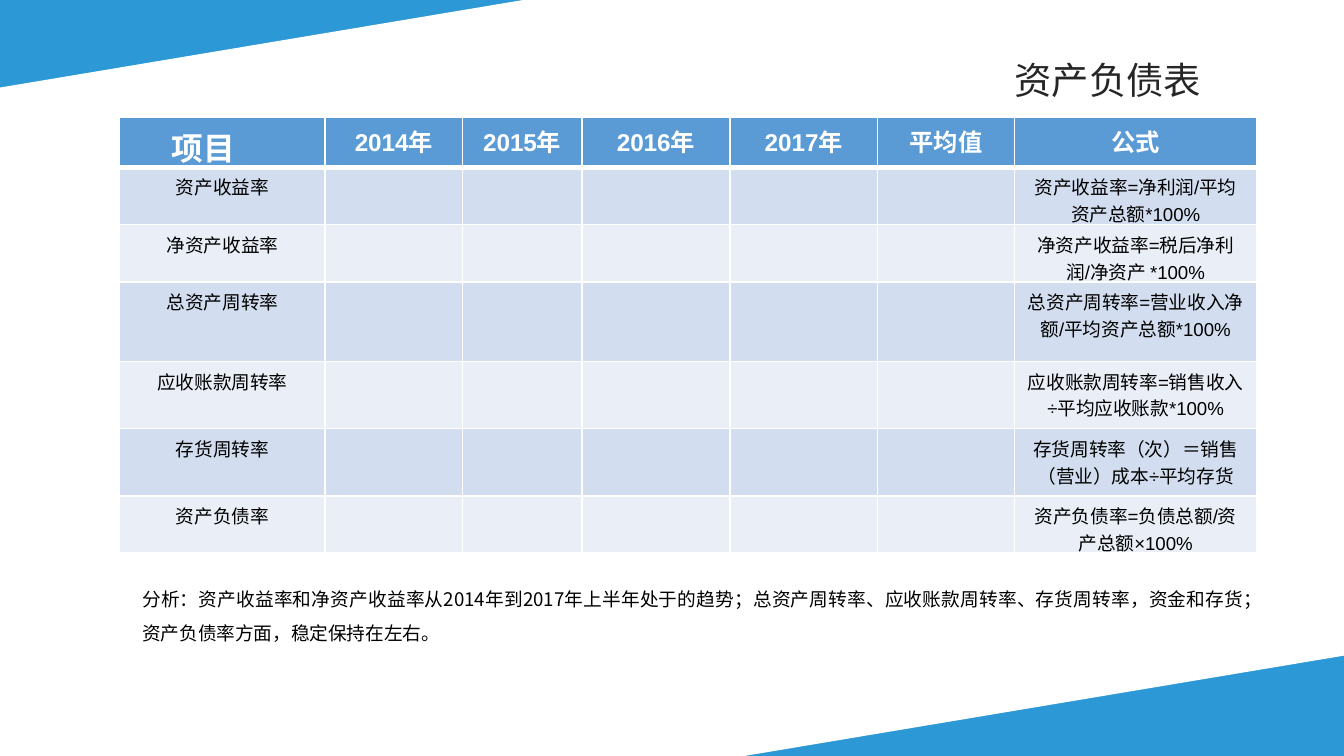
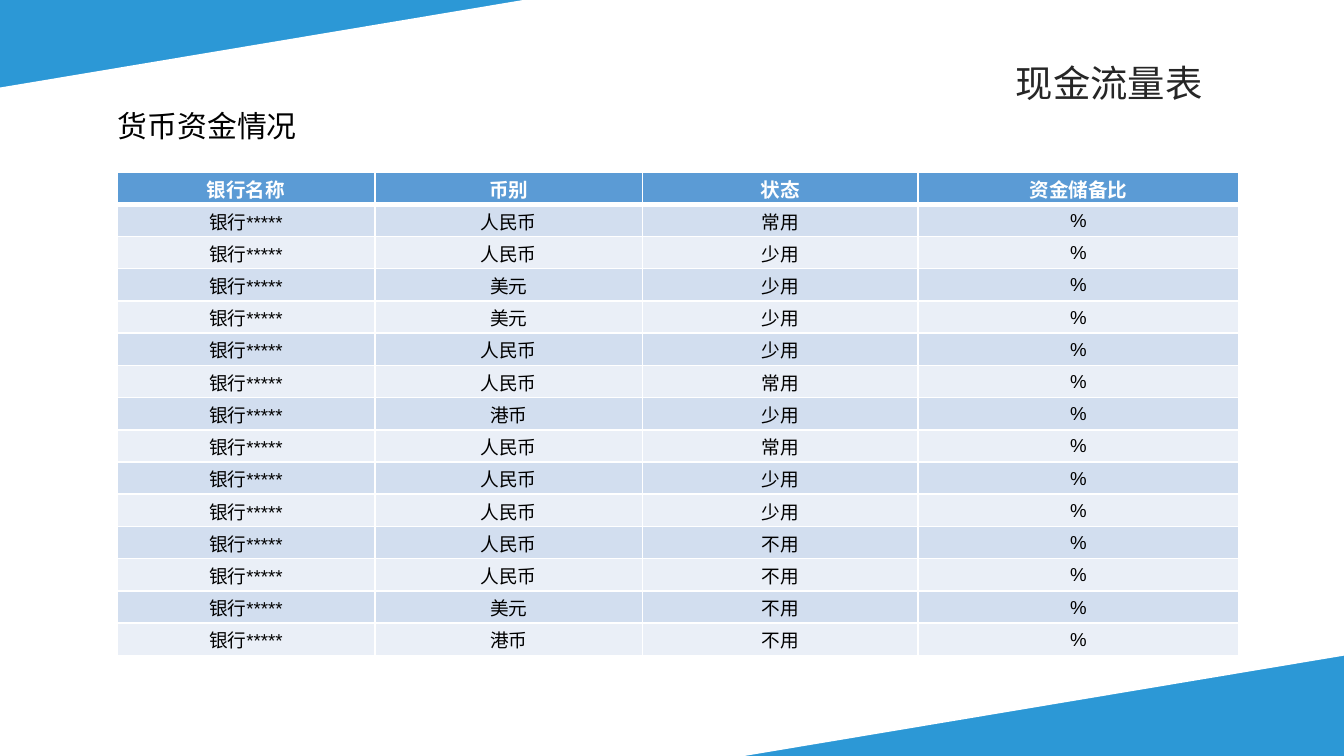
"""Build two finance slides: balance sheet ratios and cash holdings."""
from lxml import etree
from pptx import Presentation
from pptx.dml.color import RGBColor
from pptx.enum.shapes import MSO_SHAPE
from pptx.enum.text import MSO_ANCHOR, MSO_AUTO_SIZE, PP_ALIGN
from pptx.oxml.ns import qn
from pptx.util import Inches, Pt

RECT = MSO_SHAPE.RECTANGLE
TOP, MIDDLE = MSO_ANCHOR.TOP, MSO_ANCHOR.MIDDLE
LEFT, CENTER, JUSTIFY = PP_ALIGN.LEFT, PP_ALIGN.CENTER, PP_ALIGN.JUSTIFY
GROW = MSO_AUTO_SIZE.SHAPE_TO_FIT_TEXT

BLUE = RGBColor(0x2C, 0x98, 0xD6)
WHITE = RGBColor(0xFF, 0xFF, 0xFF)
BLACK = RGBColor(0, 0, 0)
TITLE_GREY = RGBColor(0x26, 0x26, 0x26)
HEADER_BLUE = RGBColor(0x5B, 0x9B, 0xD5)
BANDS = [RGBColor(0xD2, 0xDE, 0xEF), RGBColor(0xEA, 0xEF, 0xF7)]
LATIN, CJK = "Arial", "Noto Sans CJK SC"

RATIO_HEADER = ["项目", "2014年", "2015年", "2016年", "2017年", "平均值", "公式"]
RATIOS = [
    ("资产收益率", "资产收益率=净利润/平均资产总额*100%"),
    ("净资产收益率", "净资产收益率=税后净利润/净资产 *100%"),
    ("总资产周转率", "总资产周转率=营业收入净额/平均资产总额*100%"),
    ("应收账款周转率", "应收账款周转率=销售收入÷平均应收账款*100%"),
    ("存货周转率", "存货周转率（次）＝销售（营业）成本÷平均存货"),
    ("资产负债率", "资产负债率=负债总额/资产总额×100%"),
]
RATIO_COLS = [1.53, 1.02, 0.89, 1.1, 1.1, 1.02, 1.8]
RATIO_HEIGHTS = [0.34, 0.38, 0.38, 0.5, 0.5, 0.5, 0.38]
RATIO_MARGINS = (6.6, 3.3, 6.6, 3.3)
ANALYSIS = ("分析：资产收益率和净资产收益率从2014年到2017年上半年处于的趋势；"
            "总资产周转率、应收账款周转率、存货周转率，资金和存货；"
            "资产负债率方面，稳定保持在左右。")

CASH_HEADER = ["银行名称", "币别", "状态", "资金储备比"]
ACCOUNTS = [
    ("人民币", "常用"), ("人民币", "少用"), ("美元", "少用"), ("美元", "少用"),
    ("人民币", "少用"), ("人民币", "常用"), ("港币", "少用"), ("人民币", "常用"),
    ("人民币", "少用"), ("人民币", "少用"), ("人民币", "不用"), ("人民币", "不用"),
    ("美元", "不用"), ("港币", "不用"),
]
CASH_COLS = [1.92, 1.99, 2.05, 2.39]
CASH_MARGINS = (0.7, 0.7, 0.7, 0)


def style_run(r, size, font, color, bold=False):
    r.font.size = Pt(size)
    r.font.name = font
    r.font.color.rgb = color
    r.font.bold = bold


def add_text(s, box, text, size, font, color, align=LEFT, wrap=True, spacing=None):
    tf = s.shapes.add_textbox(*map(Inches, box)).text_frame
    tf.word_wrap = wrap
    tf.auto_size = GROW
    tf.text = text
    p = tf.paragraphs[0]
    p.alignment = align
    p.line_spacing = spacing
    style_run(p.runs[0], size, font, color)


def add_page(prs, title, left, top):
    s = prs.slides.add_slide(prs.slide_layouts[6])
    s.background.fill.solid()
    s.background.fill.fore_color.rgb = BLUE
    sp = s.shapes.add_shape(RECT, *map(Inches, (-0.99, -0.1, 11.45, 5.82)))
    sp.rotation = 350.5
    sp.shadow.inherit = False
    sp.fill.solid()
    sp.fill.fore_color.rgb = WHITE
    sp.line.fill.background()
    add_text(s, (left, top, 1.6, 0.44), title, 20, LATIN, TITLE_GREY, wrap=False)
    return s


def set_borders(cell, top, bottom):
    props = cell._tc.get_or_add_tcPr()
    edges = [("a:lnL", 1), ("a:lnR", 1), ("a:lnT", top), ("a:lnB", bottom)]
    for i, (tag, width) in enumerate(edges):
        line = etree.Element(qn(tag), w=str(Pt(width)))
        fill = etree.SubElement(line, qn("a:solidFill"))
        etree.SubElement(fill, qn("a:srgbClr"), val=str(WHITE))
        props.insert(i, line)


def add_grid(s, left, top, cols, heights, rows, header_size, margins, anchor):
    frame = s.shapes.add_table(len(rows), len(cols), Inches(left), Inches(top),
                               Inches(sum(cols)), Inches(sum(heights)))
    table = frame.table
    for column, width in zip(table.columns, cols):
        column.width = Inches(width)
    for i, (row, height, texts) in enumerate(zip(table.rows, heights, rows)):
        row.height = Inches(height)
        header = i == 0
        for cell, text in zip(row.cells, texts):
            cell.fill.solid()
            cell.fill.fore_color.rgb = HEADER_BLUE if header else BANDS[(i - 1) % 2]
            set_borders(cell, 3 if i == 1 else 1, 3 if header else 1)
            (cell.margin_left, cell.margin_top,
             cell.margin_right, cell.margin_bottom) = map(Pt, margins)
            cell.vertical_anchor = anchor
            cell.text = text
            p = cell.text_frame.paragraphs[0]
            p.alignment = CENTER
            for r in p.runs:
                style_run(r, header_size if header else 10, LATIN,
                          WHITE if header else BLACK, header)
    return table


def build_balance_sheet(prs):
    s = add_page(prs, "资产负债表", 7.45, 0.38)
    blanks = [""] * (len(RATIO_COLS) - 2)
    rows = [RATIO_HEADER] + [[name, *blanks, formula] for name, formula in RATIOS]
    table = add_grid(s, 0.89, 0.87, RATIO_COLS, RATIO_HEIGHTS, rows, 13,
                     RATIO_MARGINS, TOP)
    item = table.cell(0, 0)
    item.margin_right = Inches(0.37)
    item.text_frame.paragraphs[0].runs[0].font.size = Pt(17)
    add_text(s, (0.96, 4.24, 8.39, 0.58), ANALYSIS, 10, CJK, BLACK, JUSTIFY, spacing=1.5)


def build_cash_flow(prs):
    s = add_page(prs, "现金流量表", 7.46, 0.4)
    rows = [CASH_HEADER] + [["银行*****", *account, "%"] for account in ACCOUNTS]
    add_grid(s, 0.87, 1.28, CASH_COLS, [0.24] * len(rows), rows, 10.5,
             CASH_MARGINS, MIDDLE)
    add_text(s, (0.78, 0.75, 4.33, 0.37), "货币资金情况", 16, CJK, BLACK)


def main():
    prs = Presentation()
    prs.slide_width = Inches(10)
    prs.slide_height = prs.slide_width * 9 // 16
    build_balance_sheet(prs)
    build_cash_flow(prs)
    prs.save("out.pptx")


if __name__ == "__main__":
    main()
